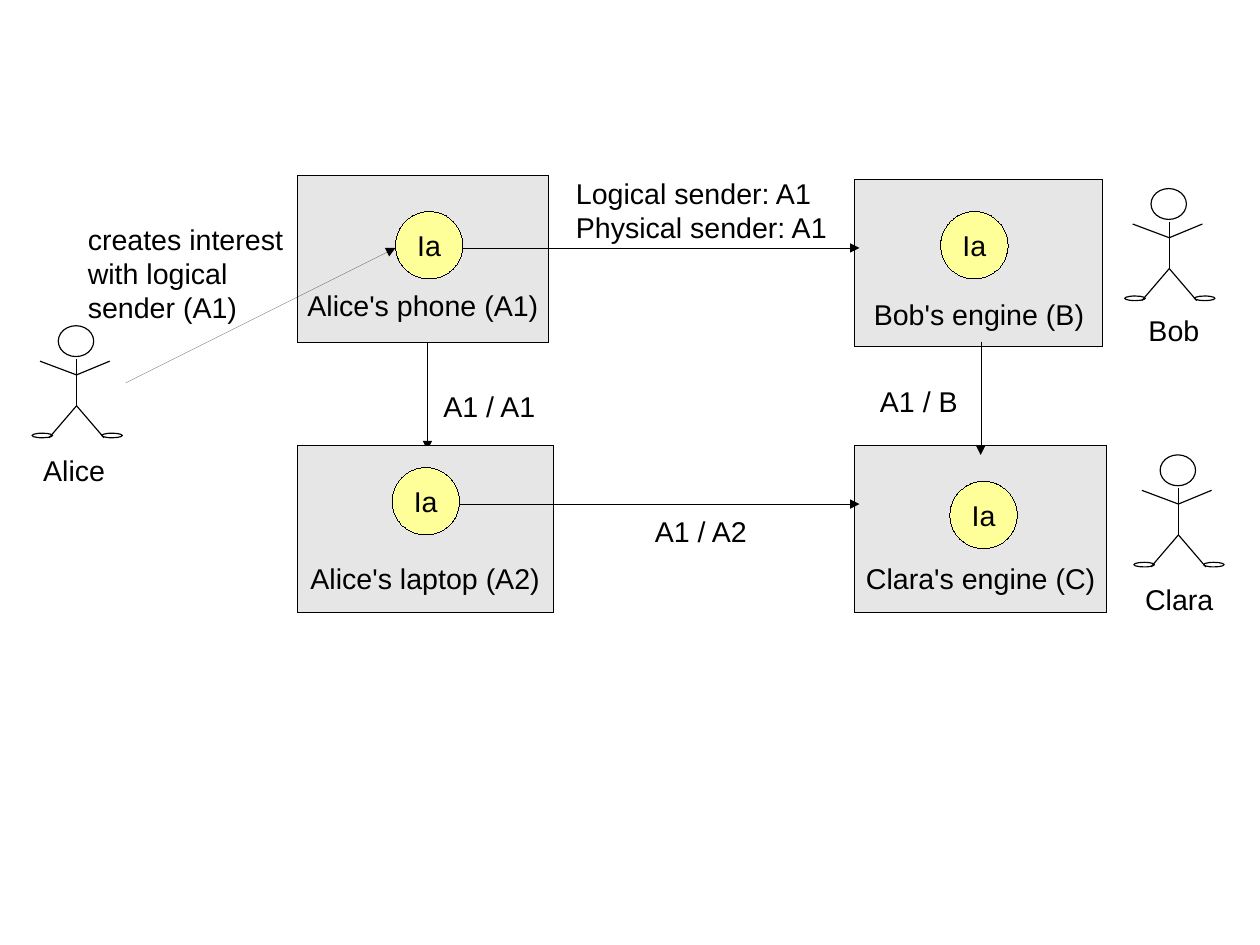
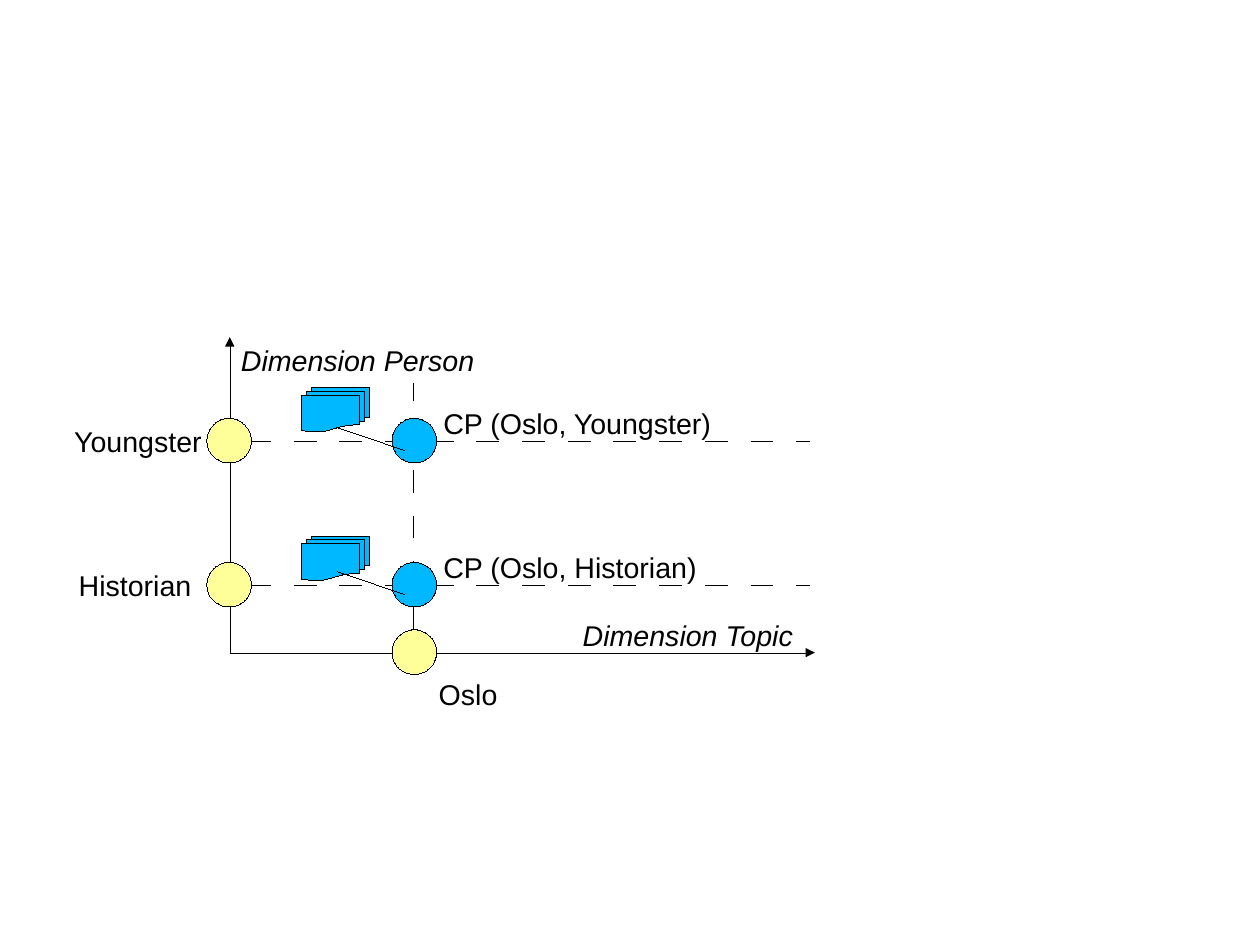
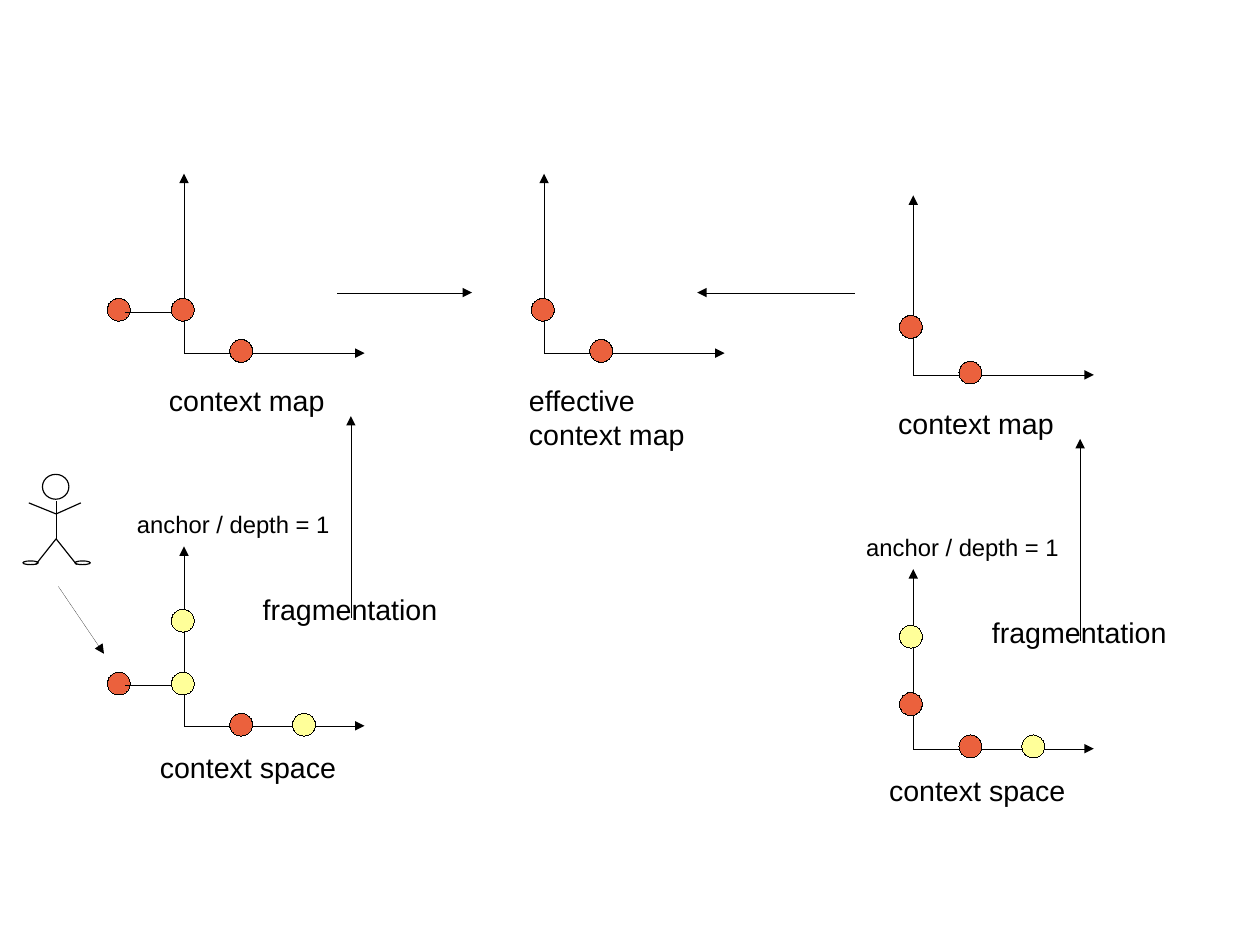
"""Builds three diagram slides: message flow, topic dimensions and context maps."""
from dataclasses import dataclass

from lxml import etree
from pptx import Presentation
from pptx.dml.color import RGBColor
from pptx.enum.shapes import MSO_CONNECTOR, MSO_SHAPE
from pptx.enum.text import MSO_ANCHOR, PP_ALIGN
from pptx.oxml.ns import qn
from pptx.util import Cm, Pt

PX = 9144


@dataclass(frozen=True)
class Theme:
    ink: RGBColor = RGBColor(0x00, 0x00, 0x00)
    grey: RGBColor = RGBColor(0xE6, 0xE6, 0xE6)
    yellow: RGBColor = RGBColor(0xFF, 0xFF, 0x99)
    blue: RGBColor = RGBColor(0x00, 0xB8, 0xFF)
    red: RGBColor = RGBColor(0xEB, 0x61, 0x3D)
    font: str = "Arial"
    body: int = 18
    small: int = 15
    hairline: float = 0
    dash_line: float = 0.5
    figure_line: float = 0.75


T = Theme()


def add_box(parent, kind, x, y, w, h, text="", fill=None, width=T.hairline,
            size=T.body, italic=False):
    box = [v * PX for v in (x, y, w, h)]
    if kind is None:
        sp = parent.shapes.add_textbox(*box)
    else:
        sp = parent.shapes.add_shape(kind, *box)
        sp.shadow.inherit = False
        sp.line.color.rgb = T.ink
        sp.line._ln.set("w", str(int(Pt(width))))
        if fill is None:
            sp.fill.background()
        else:
            sp.fill.solid()
            sp.fill.fore_color.rgb = fill
    if text:
        tf = sp.text_frame
        tf.word_wrap = True
        tf.text = text
        if kind is not None:
            tf.margin_left = tf.margin_right = 0
            tf.vertical_anchor = MSO_ANCHOR.MIDDLE
        for p in tf.paragraphs:
            p.alignment = PP_ALIGN.LEFT if kind is None else PP_ALIGN.CENTER
            p.font.name = T.font
            p.font.size = Pt(size)
            p.font.italic = italic
            p.font.color.rgb = T.ink
    return sp


def add_line(parent, x1, y1, x2, y2, width=T.hairline, arrow=False, dashed=False):
    line = parent.shapes.add_connector(
        MSO_CONNECTOR.STRAIGHT, *[v * PX for v in (x1, y1, x2, y2)])
    line.line.color.rgb = T.ink
    ln = line.line._ln
    ln.set("w", str(int(Pt(width))))
    if dashed:
        dash = etree.SubElement(ln, qn("a:custDash"))
        etree.SubElement(dash, qn("a:ds"), d="2820000", sp="2820000")
    if arrow:
        etree.SubElement(ln, qn("a:tailEnd"), type="triangle")
    etree.SubElement(line._element.spPr, qn("a:effectLst"))


prs = Presentation()
prs.slide_width, prs.slide_height = Cm(28), Cm(21)
flow, dimensions, contexts = [
    prs.slides.add_slide(prs.slide_layouts[6]) for _ in range(3)]

for s, x, y, w, h in [(flow, 28, 285, 79, 98), (flow, 984, 165, 79, 98),
                      (flow, 992, 398, 79, 98), (contexts, 20, 415, 59, 79)]:
    figure = s.shapes.add_group_shape()
    for ellipse in [(23, 0, 31, 27), (61, 94, 18, 4), (0, 94, 18, 4)]:
        add_box(figure, MSO_SHAPE.OVAL, *ellipse, width=T.figure_line)
    for limb in [(39, 29, 39, 70), (39, 70, 15, 98), (39, 70, 63, 98),
                 (39, 43, 7, 31), (39, 43, 68, 31)]:
        add_line(figure, *limb, width=T.figure_line)
    figure.left, figure.top = x * PX, y * PX
    figure.width, figure.height = w * PX, h * PX

s = flow
add_line(s, 374, 236, 374, 394, arrow=True)
for text, x, y, w, gap in [("Alice's phone (A1)", 260, 154, 220, 18),
                           ("Bob's engine (B)", 748, 157, 217, 13),
                           ("Alice's laptop (A2)", 260, 390, 224, 15),
                           ("Clara's engine (C)", 748, 390, 220, 15)]:
    sp = add_box(s, MSO_SHAPE.RECTANGLE, x, y, w, 146, text, T.grey)
    sp.text_frame.vertical_anchor = MSO_ANCHOR.BOTTOM
    sp.text_frame.margin_bottom = gap * PX
for ends in [(398, 217, 752, 217), (398, 441, 752, 441),
             (858, 299, 858, 398), (110, 335, 346, 217)]:
    add_line(s, *ends, arrow=True)
for x, y in [(346, 185), (823, 185), (343, 409), (831, 421)]:
    add_box(s, MSO_SHAPE.OVAL, x, y, 59, 59, "Ia", T.yellow)
for text, x, y, w, h in [
        ("Alice", 28, 391, 90, 38), ("Bob", 995, 269, 90, 38),
        ("Clara", 992, 504, 90, 38),
        ("creates interest\nwith logical\nsender (A1)", 67, 189, 256, 96),
        ("Logical sender: A1\nPhysical sender: A1", 494, 149, 250, 66),
        ("A1 / A1", 378, 335, 118, 38), ("A1 / A2", 563, 445, 118, 38),
        ("A1 / B", 760, 331, 118, 38)]:
    add_box(s, None, x, y, w, h, text)

s = dimensions
rows = [("Youngster", 55, 386, 339), ("Historian", 59, 512, 469)]
add_line(s, 362, 551, 362, 335, T.dash_line, dashed=True)
for name, x, y, doc_y in rows:
    add_line(s, 217, y, 709, y, T.dash_line, dashed=True)
for end in [(201, 295), (713, 571)]:
    add_line(s, 201, 571, *end, arrow=True)
add_box(s, MSO_SHAPE.OVAL, 343, 551, 39, 39, fill=T.yellow)
for name, x, y, doc_y in rows:
    for node_x, fill in [(181, T.yellow), (343, T.blue)]:
        add_box(s, MSO_SHAPE.OVAL, node_x, y - 20, 39, 39, fill=fill)
    add_box(s, None, x, y - 20, 140, 38, name)
    add_box(s, None, 378, y - 36, 270, 38, f"CP (Oslo, {name})")
    add_box(s, MSO_SHAPE.FLOWCHART_MULTIDOCUMENT, 264, doc_y, 59, 39, fill=T.blue)
    add_line(s, 295, y - 12, 354, y + 8)
add_box(s, None, 374, 587, 80, 38, "Oslo")
add_box(s, None, 201, 295, 240, 38, "Dimension Person", italic=True)
add_box(s, None, 500, 536, 220, 38, "Dimension Topic", italic=True)

s = contexts
for x, y, dots in [
        (161, 635, [(-67, -47, T.red), (-11, -102, T.yellow),
                    (-11, -47, T.yellow), (95, -11, T.yellow), (40, -11, T.red)]),
        (161, 309, [(-67, -48, T.red), (-11, -48, T.red), (40, -12, T.red)]),
        (476, 309, [(-11, -48, T.red), (40, -12, T.red)]),
        (799, 655, [(-12, -49, T.red), (-12, -108, T.yellow),
                    (95, -12, T.yellow), (40, -12, T.red)]),
        (799, 328, [(-12, -52, T.red), (40, -12, T.red)])]:
    add_line(s, x, y, x, y - 157, arrow=True)
    add_line(s, x, y, x + 158, y, arrow=True)
    for dx, dy, fill in dots:
        add_box(s, MSO_SHAPE.OVAL, x + dx, y + dy, 20, 20, fill=fill)
for y in (600, 273):
    add_line(s, 110, y, 150, y)
for ends in [(51, 513, 91, 572), (295, 256, 413, 256), (748, 256, 610, 256)]:
    add_line(s, *ends, arrow=True)
for dx, dy in [(0, 0), (638, 20)]:
    add_line(s, 307 + dx, 541 + dy, 307 + dx, 364 + dy, arrow=True)
    for text, x, y, size in [("anchor / depth = 1", 110, 441, T.small),
                             ("context space", 130, 651, T.body),
                             ("context map", 138, 330, T.body),
                             ("fragmentation", 220, 513, T.body)]:
        add_box(s, None, x + dx, y + dy, 217, 38, text, size=size)
add_box(s, None, 453, 330, 217, 66, "effective\ncontext map")

prs.save("out.pptx")
